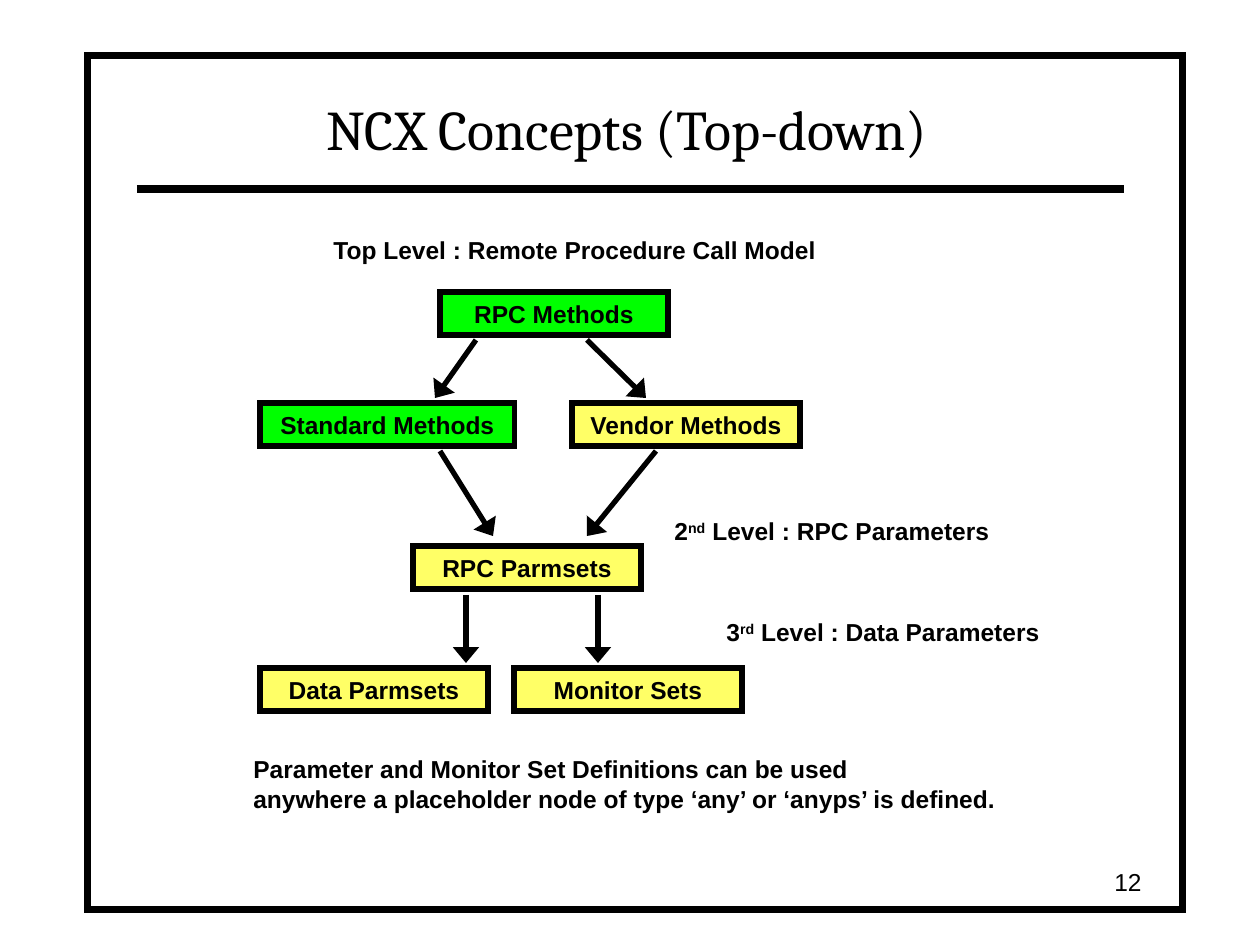
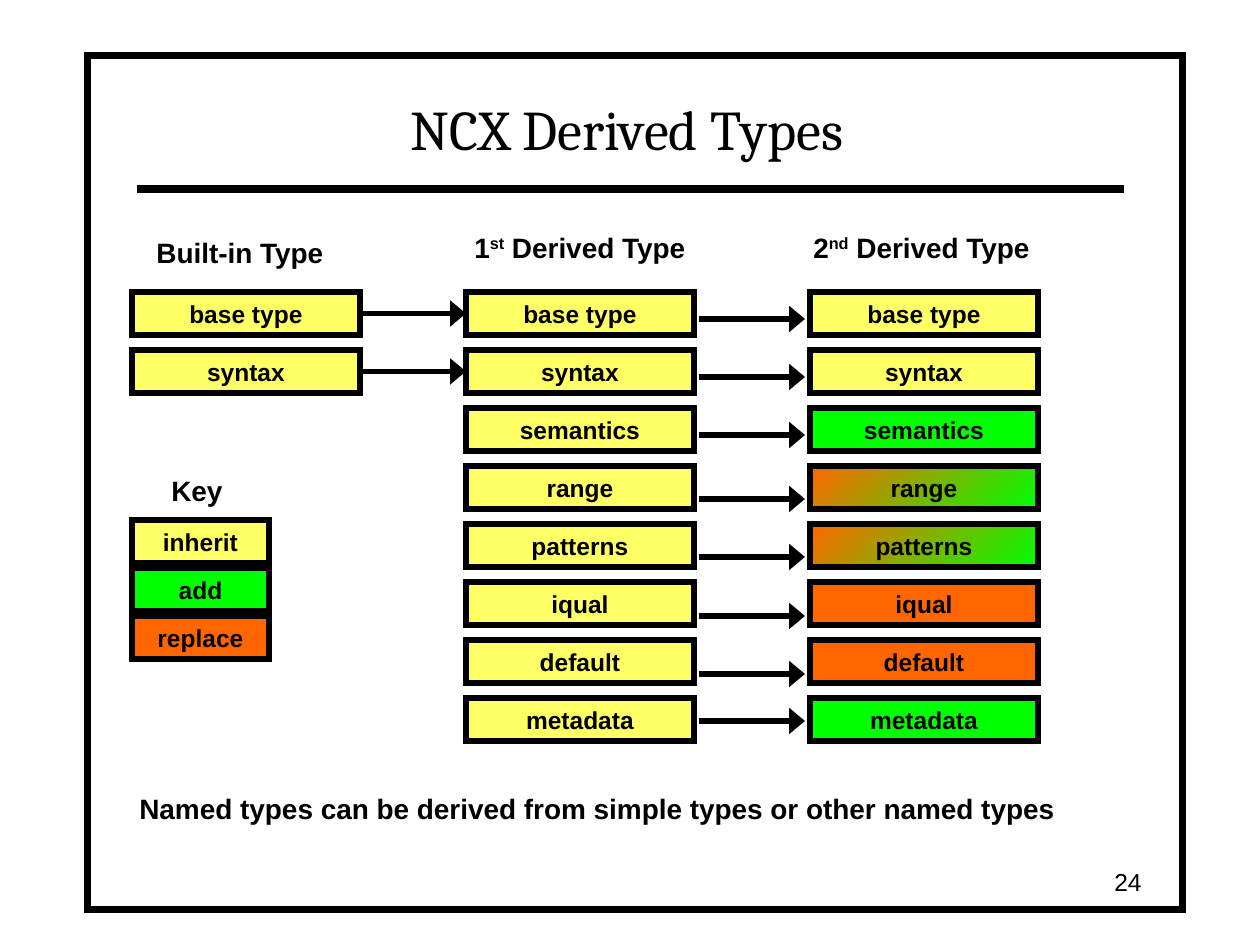
from pptx import Presentation
from pptx.dml.color import RGBColor
from pptx.enum.shapes import MSO_CONNECTOR, MSO_SHAPE
from pptx.enum.text import MSO_ANCHOR, MSO_AUTO_SIZE, PP_ALIGN
from pptx.oxml.ns import qn
from pptx.util import Emu, Pt
from lxml import etree

BLACK = RGBColor(0x00, 0x00, 0x00)
WHITE = RGBColor(0xFF, 0xFF, 0xFF)
GREEN = RGBColor(0x00, 0xFF, 0x00)
YELLOW = RGBColor(0xFF, 0xFF, 0x66)
ORANGE = RGBColor(0xFF, 0x66, 0x00)
BLEND = (GREEN, ORANGE)

RECT = MSO_SHAPE.RECTANGLE
STRAIGHT = MSO_CONNECTOR.STRAIGHT
CENTER, LEFT, RIGHT = PP_ALIGN.CENTER, PP_ALIGN.LEFT, PP_ALIGN.RIGHT
MIDDLE, TOP, BOTTOM = MSO_ANCHOR.MIDDLE, MSO_ANCHOR.TOP, MSO_ANCHOR.BOTTOM
NO_FIT = MSO_AUTO_SIZE.NONE

BOX_W, BOX_H = 228, 43
ROW = 58


def px(*sizes):
    """Turn lengths in px into EMU."""
    return [Emu(round(size * 914400 / 126)) for size in sizes]


def write(shape, text, size, align=LEFT, anchor=TOP, bold=True, face="Arial"):
    """Fill a shape with text; parts between carets are raised."""
    frame = shape.text_frame
    frame.vertical_anchor = anchor
    para = frame.paragraphs[0]
    para.alignment = align
    first, *rest = text.split("^")
    para.text = first
    for part in rest:
        para.add_run().text = part
    for i, run in enumerate(para.runs):
        font = run.font
        font.name, font.size, font.bold = face, Pt(size), bold
        font.color.rgb = BLACK
        if rest and i % 2:
            run._r.get_or_add_rPr().set("baseline", "30000")


def label(slide, x, y, w, text, size=14, h=BOX_H, **style):
    """Add a text box."""
    shape = slide.shapes.add_textbox(*px(x, y, w, h))
    write(shape, text, size, **style)
    return shape


def panel(slide, x, y, w, h, fill, line):
    """Add a sharp-cornered rectangle with a plain or blended fill."""
    shape = slide.shapes.add_shape(RECT, *px(x, y, w, h))
    shape.shadow.inherit = False
    if fill is BLEND:
        shape.fill.gradient()
        shape.fill.gradient_angle = 135
        for stop, tint in zip(shape.fill.gradient_stops, fill):
            stop.color.rgb = tint
    else:
        shape.fill.solid()
        shape.fill.fore_color.rgb = fill
    shape.line.color.rgb = BLACK
    shape.line.width = Pt(line)
    miter = etree.SubElement(shape.line._get_or_add_ln(), qn("a:miter"))
    miter.set("lim", "800000")
    return shape


def node(slide, x, y, text, fill, w=BOX_W):
    """Add a labelled box."""
    shape = panel(slide, x, y, w, BOX_H, fill, 3)
    write(shape, text, 14, CENTER, MIDDLE)
    return shape


def stroke(slide, x1, y1, x2, y2, width=3, head=True):
    """Add a straight line, with a broad arrowhead if wanted."""
    link = slide.shapes.add_connector(STRAIGHT, *px(x1, y1, x2, y2))
    link.line.color.rgb = BLACK
    link.line.width = Pt(width)
    if head:
        tail = etree.SubElement(link.line._get_or_add_ln(), qn("a:tailEnd"))
        tail.set("type", "triangle")
        tail.set("w", "lg")
    etree.SubElement(link.element.spPr, qn("a:effectLst"))
    return link


def dress(layout, slide):
    """Give the layout its frame, rule and title place."""
    frame = panel(slide, 88, 56, 1095, 854, WHITE, 4)
    rule = stroke(slide, 137, 189, 1124, 189, 4.5, False)
    for spot, part in enumerate((frame, rule), 2):
        layout.shapes.element.insert(spot, part.element)
    title = layout.placeholders[0]
    title.left, title.top, title.width, title.height = px(136, 73, 982, 95)


def head(slide, title, number):
    """Set the title and the page number."""
    write(slide.shapes.title, title, 32, CENTER, BOTTOM, False, "Cambria")
    slide.shapes.title.text_frame.auto_size = NO_FIT
    label(slide, 892, 860, 262, number, align=RIGHT, anchor=MIDDLE, bold=False)


def levels(slide, x, y):
    """Draw the tree of methods and parameter sets."""
    for dx, dy, text, fill, w in (
        (180, 0, "RPC Methods", GREEN, BOX_W),
        (0, 111, "Standard Methods", GREEN, 255),
        (312, 111, "Vendor Methods", YELLOW, BOX_W),
        (153, 254, "RPC Parmsets", YELLOW, BOX_W),
        (0, 376, "Data Parmsets", YELLOW, BOX_W),
        (254, 376, "Monitor Sets", YELLOW, BOX_W),
    ):
        node(slide, x + dx, y + dy, text, fill, w)
    for x1, x2, top, end in (
        (216, 175, 48, 106),
        (327, 386, 48, 106),
        (180, 233, 159, 244),
        (396, 327, 159, 244),
        (206, 206, 303, 371),
        (338, 338, 303, 371),
    ):
        stroke(slide, x + x1, y + top, x + x2, y + end)
    for dx, dy, w, text in (
        (61, -63, 520, "Top Level : Remote Procedure Call Model"),
        (402, 218, 360, "2^nd^ Level : RPC Parameters"),
        (454, 319, 360, "3^rd^ Level : Data Parameters"),
    ):
        label(slide, x + dx, y + dy, w, text)
    note = ("Parameter and Monitor Set Definitions can be used\n"
            "anywhere a placeholder node of type ‘any’ or ‘anyps’ is defined.")
    label(slide, x - 19, y + 456, 780, note, h=72)


def stack(slide, x, y, items, w=BOX_W, step=ROW):
    """Pile up boxes and return them."""
    return [node(slide, x, y + i * step, text, fill, w)
            for i, (text, fill) in enumerate(items)]


def types(slide, x, y):
    """Draw the three columns of types and their arrows."""
    names = ("base type", "syntax", "semantics", "range",
             "patterns", "iqual", "default", "metadata")
    fills = (YELLOW, YELLOW, GREEN, BLEND, BLEND, ORANGE, ORANGE, GREEN)
    plain = [(name, YELLOW) for name in names]
    built = stack(slide, x, y, plain[:2])
    first = stack(slide, x + 334, y, plain)
    stack(slide, x + 678, y, zip(names, fills))
    for start, end in zip(built, first):
        link = stroke(slide, 0, 0, 1, 1)
        link.begin_connect(start, 3)
        link.end_connect(end, 1)
    for i, drop in enumerate((27, 27, 27, 33, 33, 34, 34, 23)):
        level = y + i * ROW + drop
        stroke(slide, x + 567, level, x + 673, level)
    for dx, dy, w, text in (
        (12, -63, 206, "Built-in Type"),
        (330, -68, 250, "1^st^ Derived Type"),
        (669, -68, 255, "2^nd^ Derived Type"),
    ):
        label(slide, x + dx, y + dy, w, text, 16)
    note = "Named types can be derived from simple types or other named types"
    label(slide, x - 5, y + 493, 984, note, 16).text_frame.word_wrap = True


def key(slide, x, y):
    """Draw the key to the fills."""
    label(slide, x + 27, y - 53, 86, "Key", 16)
    items = (("inherit", YELLOW), ("add", GREEN), ("replace", ORANGE))
    stack(slide, x, y, items, 137, 48)


def main():
    """Build both slides and save them."""
    deck = Presentation()
    deck.slide_width, deck.slide_height = px(1260, 945)
    layout = deck.slide_layouts[5]
    tree = deck.slides.add_slide(layout)
    dress(layout, tree)
    head(tree, "NCX Concepts (Top-down)", "12")
    levels(tree, 260, 292)
    derived = deck.slides.add_slide(layout)
    head(derived, "NCX Derived Types", "24")
    types(derived, 132, 292)
    key(derived, 132, 520)
    deck.save("out.pptx")


if __name__ == "__main__":
    main()
